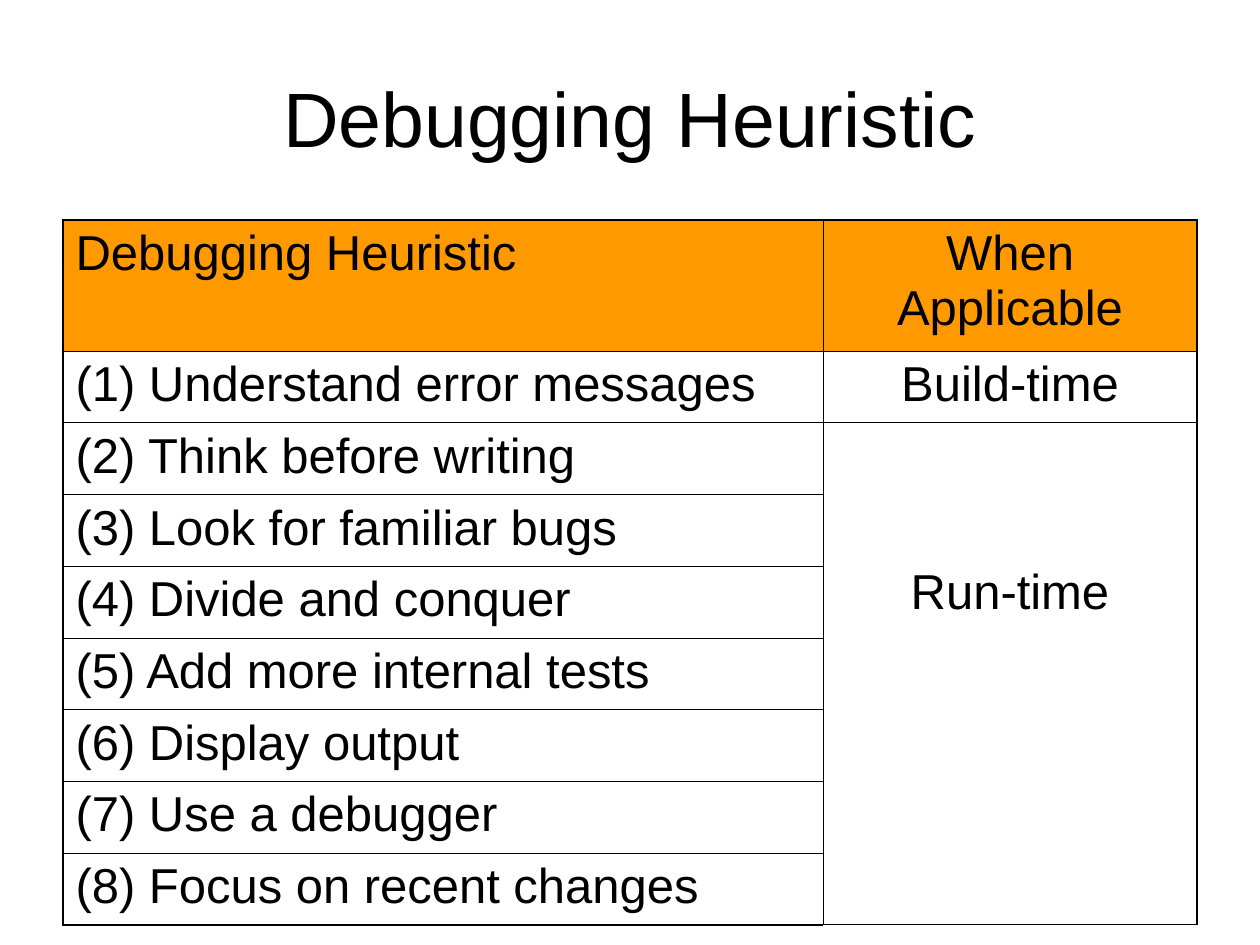
from dataclasses import dataclass

from lxml import etree
from pptx import Presentation
from pptx.dml.color import RGBColor
from pptx.enum.text import MSO_ANCHOR, PP_ALIGN
from pptx.oxml.ns import qn
from pptx.util import Emu, Pt

LEFT, CENTER = PP_ALIGN.LEFT, PP_ALIGN.CENTER
TOP, MIDDLE = MSO_ANCHOR.TOP, MSO_ANCHOR.MIDDLE
TITLE_ONLY = 5
EMU_PER_PX = 914400 / 126


@dataclass(frozen=True)
class Theme:
    font: str = "Arial"
    ink: str = "000000"
    header: str = "FF9900"
    title_size: int = 44
    cell_size: int = 28
    space_before: int = 7
    outer_line: float = 1.08
    inner_line: float = 0.45


def px(length):
    return Emu(round(length * EMU_PER_PX))


def assign(target, values):
    for name, value in values.items():
        setattr(target, name, value)


class SlideBuilder:
    def __init__(self, deck, theme):
        self.theme = theme
        self.page = deck.slides.add_slide(deck.slide_layouts[TITLE_ONLY])

    def add_text(self, frame, text, size, align, space_before=0):
        para = frame.paragraphs[0]
        assign(para, {"alignment": align, "space_before": Pt(space_before)})
        span = para.add_run()
        span.text = text
        assign(span.font, {"name": self.theme.font, "size": Pt(size)})
        span.font.color.rgb = RGBColor.from_string(self.theme.ink)

    def title(self, text, left, top, width, height):
        box = self.page.shapes.title
        assign(box, {"left": px(left), "top": px(top),
                     "width": px(width), "height": px(height)})
        assign(box.text_frame, {"word_wrap": True, "vertical_anchor": MIDDLE})
        self.add_text(box.text_frame, text, self.theme.title_size, CENTER)

    def table(self, rows, left, top, column_widths, header_height, body_height):
        """Add a grid with a coloured header row and equal body rows."""
        row_count, column_count = len(rows), len(column_widths)
        table = self.page.shapes.add_table(
            row_count, column_count, px(left), px(top),
            px(sum(column_widths)), px(header_height + body_height)).table
        assign(table, {"first_row": False, "horz_banding": False})
        for column, width in zip(table.columns, column_widths):
            column.width = px(width)
        for index, row in enumerate(table.rows):
            row.height = px(body_height / (row_count - 1) if index else header_height)
        for r, texts in enumerate(rows):
            for c in range(column_count):
                cell = table.cell(r, c)
                self.style_cell(cell, r == 0)
                self.border(cell, {"L": c == 0, "R": c == column_count - 1,
                                   "T": r == 0, "B": r == row_count - 1})
                if c < len(texts):
                    self.add_text(cell.text_frame, texts[c], self.theme.cell_size,
                                  CENTER if c else LEFT, self.theme.space_before)
        return table

    def style_cell(self, cell, is_header):
        cell.vertical_anchor = TOP
        if is_header:
            cell.fill.solid()
            cell.fill.fore_color.rgb = RGBColor.from_string(self.theme.header)
        else:
            cell.fill.background()

    def border(self, cell, outer_sides):
        """Draw all four sides, with a thicker line on the outer ones."""
        properties = cell._tc.get_or_add_tcPr()
        for position, (side, is_outer) in enumerate(outer_sides.items()):
            width = self.theme.outer_line if is_outer else self.theme.inner_line
            line = etree.Element(qn(f"a:ln{side}"), w=str(Pt(width)))
            fill = etree.SubElement(line, qn("a:solidFill"))
            etree.SubElement(fill, qn("a:srgbClr"), val=self.theme.ink)
            properties.insert(position, line)

    def merge_down(self, table, row, column, margin_top):
        """Merge a cell with all cells below it and lower its text."""
        cell = table.cell(row, column)
        cell.merge(table.cell(len(table.rows) - 1, column))
        cell.margin_top = px(margin_top)


def main():
    deck = Presentation()
    assign(deck, {"slide_width": px(1260), "slide_height": px(945)})
    builder = SlideBuilder(deck, Theme())
    builder.title("Debugging Heuristic", 63, 38, 1134, 157)
    rows = [
        ("Debugging Heuristic", "When Applicable"),
        ("(1) Understand error messages", "Build-time"),
        ("(2) Think before writing", "Run-time"),
        ("(3) Look for familiar bugs",),
        ("(4) Divide and conquer",),
        ("(5) Add more internal tests",),
        ("(6) Display output",),
        ("(7) Use a debugger",),
        ("(8) Focus on recent changes",),
    ]
    table = builder.table(rows, left=63, top=220, column_widths=(760, 374),
                          header_height=131, body_height=574)
    builder.merge_down(table, row=2, column=1, margin_top=143)
    deck.save("out.pptx")


if __name__ == "__main__":
    main()
